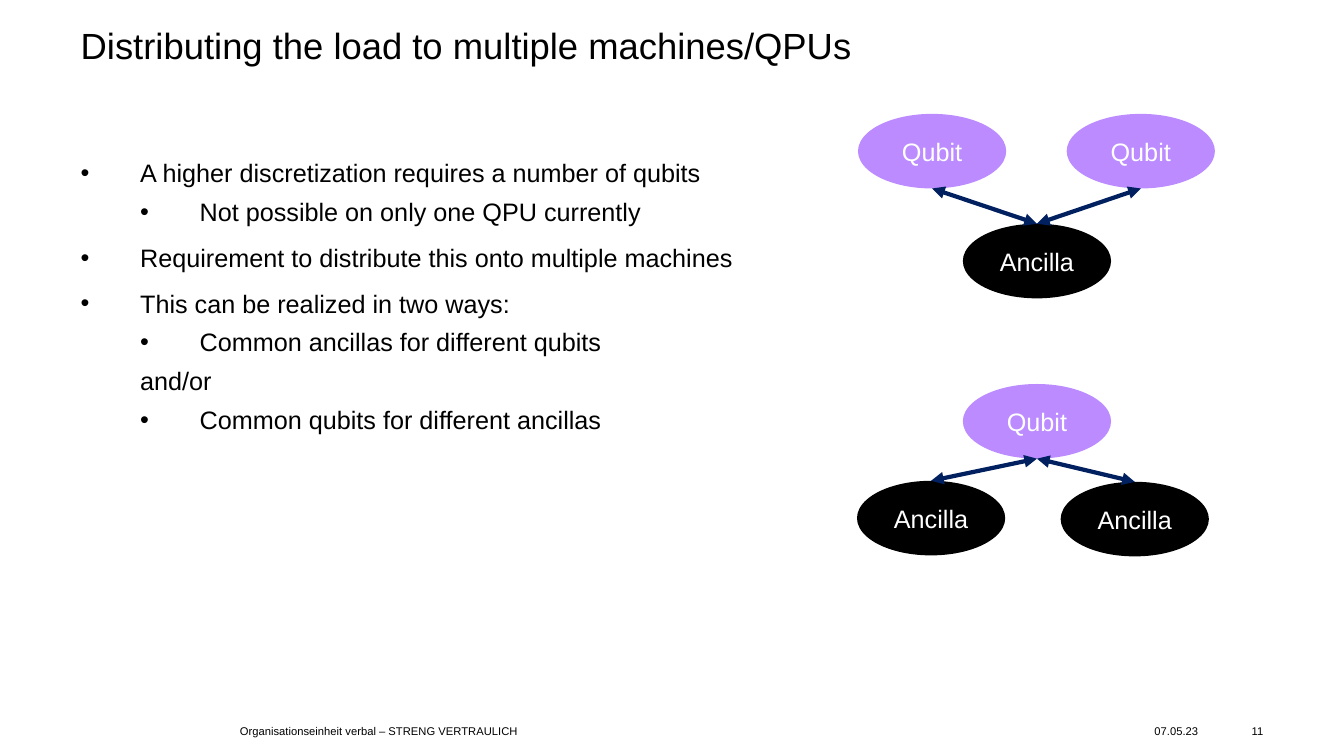
import pptx
import pptx.util
import pptx.dml.color
import pptx.enum.shapes
import pptx.enum.text
import pptx.oxml
import pptx.oxml.ns

Inches, Pt = pptx.util.Inches, pptx.util.Pt
ALIGN = pptx.enum.text.PP_ALIGN
ANCHOR = pptx.enum.text.MSO_ANCHOR
BLACK, WHITE, LILAC, NAVY = "000000", "FFFFFF", "BB8BFF", "002060"
WIDE, HIGH = 13.33, 7.5
EDGE, STEP = 0.8, 0.59
NODE = 1.47, 0.74
ZERO = dict.fromkeys(
    ("margin_left", "margin_top", "margin_right", "margin_bottom"), 0)

POINTS = [
    ("A higher discretization requires a number of qubits", 0, True),
    ("Not possible on only one QPU currently", 1, True),
    ("Requirement to distribute this onto multiple machines", 0, True),
    ("This can be realized in two ways:", 0, True),
    ("Common ancillas for different qubits", 1, True),
    ("and/or", 1, False),
    ("Common qubits for different ancillas", 1, True),
]


def shade(code):
    """Turn a hex string into a colour."""
    return pptx.dml.color.RGBColor.from_string(code)


def apply(item, form):
    """Set each attribute of the format on the item."""
    for name, value in form.items():
        setattr(item, name, value)


def style(para, size, color=BLACK, **form):
    """Format a paragraph and its font."""
    apply(para, form)
    apply(para.font, {"size": Pt(size), "name": "Arial"})
    para.font.color.rgb = shade(color)


def element(parent, tag, **attrs):
    """Append a drawing element with its attributes."""
    node = pptx.oxml.ns.qn("a:" + tag)
    child = parent.makeelement(node, attrs)
    parent.append(child)
    return child


def place(shape, box):
    """Move a shape to a box given in inches."""
    apply(shape, dict(zip(("left", "top", "width", "height"), map(Inches, box))))


def head(slide, box):
    """Fill the title placeholder."""
    title = slide.shapes.title
    place(title, box)
    frame = title.text_frame
    apply(frame, {**ZERO, "word_wrap": True, "vertical_anchor": ANCHOR.TOP})
    frame.text = "Distributing the load to multiple machines/QPUs"
    style(frame.paragraphs[0], 26, alignment=ALIGN.LEFT, line_spacing=0.9)


def points(slide, box):
    """Write the bullet list on two levels."""
    frame = slide.shapes.add_textbox(*map(Inches, box)).text_frame
    apply(frame, {**ZERO, "word_wrap": True})
    for row, (text, level, dot) in enumerate(POINTS):
        para = frame.add_paragraph() if row else frame.paragraphs[0]
        para.text = text
        props = para._p.get_or_add_pPr()
        props.set("marL", str(Inches(STEP * (level + dot))))
        props.set("indent", str(Inches(-STEP * dot)))
        if dot:
            element(props, "buFont", typeface="Arial")
            element(props, "buChar", char="•")
        else:
            element(props, "buNone")
        gap = (5 if level else 10) if row else 0
        style(para, 18, level=level, space_before=Pt(gap), line_spacing=1.05)


def foot(slide, box):
    """Place the unit, date and page number in the bottom band."""
    left, top, width, height = box
    parts = [
        ("Organisationseinheit verbal – STRENG VERTRAULICH", 1.58, 7.87, ALIGN.LEFT),
        ("07.05.23", 10.65, 0.67, ALIGN.LEFT),
        ("11", width - 0.35, 0.35, ALIGN.RIGHT),
    ]
    for text, shift, span, align in parts:
        area = left + shift, top, span, height
        frame = slide.shapes.add_textbox(*map(Inches, area)).text_frame
        apply(frame, {**ZERO, "word_wrap": True, "vertical_anchor": ANCHOR.MIDDLE})
        frame.text = text
        style(frame.paragraphs[0], 8, alignment=align)


def node(slide, text, left, top):
    """Draw one labelled ellipse."""
    kind = pptx.enum.shapes.MSO_SHAPE.OVAL
    oval = slide.shapes.add_shape(kind, *map(Inches, (left, top, *NODE)))
    oval.shadow.inherit = False
    oval.fill.solid()
    oval.fill.fore_color.rgb = shade(LILAC if text == "Qubit" else BLACK)
    oval.line.fill.background()
    frame = oval.text_frame
    apply(frame, {"text": text, "vertical_anchor": ANCHOR.MIDDLE})
    style(frame.paragraphs[0], 18, WHITE, alignment=ALIGN.CENTER)
    return oval


def arrow(slide, upper, lower):
    """Join the foot of one ellipse to the top of another."""
    kind = pptx.enum.shapes.MSO_CONNECTOR.STRAIGHT
    line = slide.shapes.add_connector(
        kind, upper.left + upper.width // 2, upper.top + upper.height,
        lower.left + lower.width // 2, lower.top)
    line.line.color.rgb = shade(NAVY)
    line.line.width = Pt(3)
    stroke = line.line._get_or_add_ln()
    for end in ("headEnd", "tailEnd"):
        element(stroke, end, type="triangle")
    element(line._element.spPr, "effectLst")


def graph(slide, box, hub, leaves):
    """Link a shared hub to its leaves, each at an offset in the box."""
    left, top = box
    core, *rest = [node(slide, text, left + x, top + y)
                   for text, x, y in (hub, *leaves)]
    for leaf in rest:
        arrow(slide, *sorted((core, leaf), key=lambda oval: oval.top))


def main():
    """Build the slide and save it."""
    deck = pptx.Presentation()
    apply(deck, {"slide_width": Inches(WIDE), "slide_height": Inches(HIGH)})
    slide = deck.slides.add_slide(deck.slide_layouts[5])
    span = WIDE - 2 * EDGE
    head(slide, (EDGE, 0.28, span, 0.98))
    points(slide, (EDGE, 1.55, 7.22, 5.12))
    foot(slide, (EDGE, 7.13, span, 0.24))
    graph(slide, (8.5, 1.13), ("Ancilla", 1.05, 1.09),
          [("Qubit", 0.01, 0), ("Qubit", 2.08, 0)])
    graph(slide, (8.5, 3.81), ("Qubit", 1.05, 0),
          [("Ancilla", 0, 0.96), ("Ancilla", 2.02, 0.97)])
    deck.save("out.pptx")


if __name__ == "__main__":
    main()
